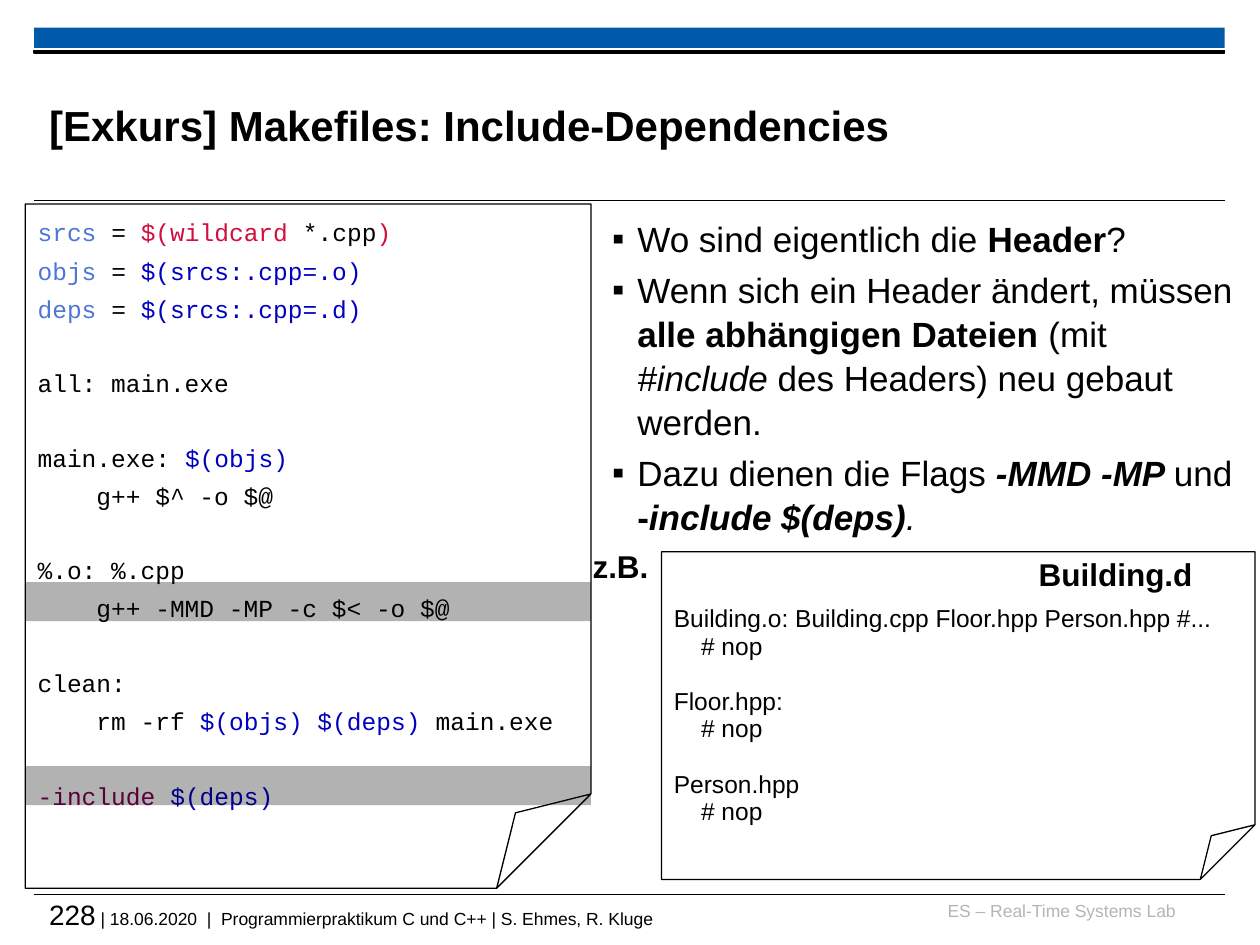
import pptx
import pptx.util
import pptx.dml.color
import pptx.enum.shapes
import pptx.enum.text
import pptx.oxml.ns
from lxml import etree

Inches, Pt = pptx.util.Inches, pptx.util.Pt
RGBColor = pptx.dml.color.RGBColor
SHAPES = pptx.enum.shapes.MSO_SHAPE
ALIGN = pptx.enum.text.PP_ALIGN
ANCHOR = pptx.enum.text.MSO_ANCHOR
qn = pptx.oxml.ns.qn

BLACK = RGBColor(0x00, 0x00, 0x00)
BAR_BLUE = RGBColor(0x00, 0x5A, 0xA9)
GRAY = RGBColor(0xB5, 0xB5, 0xB5)
NAME_BLUE = RGBColor(0x4E, 0x76, 0xD6)
CALL_RED = RGBColor(0xD0, 0x0F, 0x3F)
VARIABLE = RGBColor(0x00, 0x00, 0xC0)
KEYWORD = RGBColor(0x7F, 0x00, 0x55)

# Content: a span is (text, formatting that differs from the box default)
TITLE = "[Exkurs] Makefiles: Include-Dependencies"
LAB = "ES – Real-Time Systems Lab"
PAGE_NUMBER = "228"
FOOTER = " | 18.06.2020  |  Programmierpraktikum C und C++ | S. Ehmes, R. Kluge"

NAME, CALL, VAR = {"color": NAME_BLUE}, {"color": CALL_RED}, {"color": VARIABLE}
BOLD, ITALIC = {"bold": True}, {"italic": True}
BOTH = {**BOLD, **ITALIC}

# Makefile rules; a blank line's height separates the blocks
MAKEFILE = [
    [
        [("srcs ", NAME), ("= ", {}), ("$(wildcard", CALL), (" *.cpp", {}), (")", CALL)],
        [("objs ", NAME), ("= ", {}), ("$(srcs:.cpp=.o)", VAR)],
        [("deps ", NAME), ("= ", {}), ("$(srcs:.cpp=.d)", VAR)],
    ],
    [[("all: main.exe", {})]],
    [[("main.exe: ", {}), ("$(objs)", VAR)], [("    g++ $^ -o $@", {})]],
    [[("%.o: %.cpp", {})], [("    g++ -MMD -MP -c $< -o $@", {})]],
    [[("clean:", {})],
     [("    rm -rf ", {}), ("$(objs) $(deps)", VAR), (" main.exe", {})]],
    [[("-include ", {"color": KEYWORD}), ("$(deps)", VAR)]],
]

BULLETS = [
    [("Wo sind eigentlich die ", {}), ("Header", BOLD), ("?", {})],
    [("Wenn sich ein Header ändert, müssen ", {}), ("alle abhängigen Dateien ", BOLD),
     ("(mit ", {}), ("#include ", ITALIC), ("des Headers) neu gebaut werden.", {})],
    [("Dazu dienen die Flags ", {}), ("-MMD -MP ", BOTH), ("und ", {}), ("-", BOLD),
     ("include $(deps)", BOTH), (".", ITALIC)],
]

DEPENDENCIES = [
    "Building.o: Building.cpp Floor.hpp Person.hpp #...\v    # nop",
    "Floor.hpp:\v    # nop",
    "Person.hpp\v    # nop",
]

# Layout
RULE_LEFT, RULE_WIDTH = 0.27, 9.45
CODE_LEFT, CODE_TOP, CODE_WIDTH, CODE_HEIGHT = 0.2, 1.62, 4.49, 5.43
CODE_GAP, CODE_LINE = 3.8, 20.8
HIGHLIGHT_TOPS = (4.62, 6.08)

deck = pptx.Presentation()
deck.slide_width, deck.slide_height = Inches(10), Inches(7.5)
page = deck.slides.add_slide(deck.slide_layouts[6])


def add_panel(kind, left, top, width, height, fill=None, line=None):
    shape = page.shapes.add_shape(
        kind, Inches(left), Inches(top), Inches(width), Inches(height))
    shape.shadow.inherit = False
    if fill is None:
        shape.fill.background()
    else:
        shape.fill.solid()
        shape.fill.fore_color.rgb = fill
    if line is None:
        shape.line.fill.background()
    else:
        shape.line.color.rgb = line
        shape.line.width = Pt(0.75)
    return shape


def add_rule(top):
    rule = page.shapes.add_connector(
        pptx.enum.shapes.MSO_CONNECTOR.STRAIGHT, Inches(RULE_LEFT), Inches(top),
        Inches(RULE_LEFT + RULE_WIDTH), Inches(top))
    rule.line.color.rgb = BLACK
    rule.line.width = Pt(0.6)
    etree.SubElement(rule.element.spPr, qn("a:effectLst"))


def add_bullet(paragraph):
    properties = paragraph._p.get_or_add_pPr()
    properties.set("marL", str(Inches(0.2)))
    properties.set("indent", str(-Inches(0.2)))
    etree.SubElement(properties, qn("a:buFont"), typeface="Arial")
    etree.SubElement(properties, qn("a:buChar"), char="▪")


def add_text(at, paragraphs, size, font="Arial", align=ALIGN.LEFT, spacing=1.0,
             gaps=None, inset=True, wrap=True, bullets=False):
    """Place paragraphs of spans; gaps lists the space before each, in points."""
    box = page.shapes.add_textbox(*(Inches(length) for length in at))
    frame = box.text_frame
    frame.word_wrap = wrap
    if not inset:
        frame.margin_left = frame.margin_right = 0
        frame.margin_top = frame.margin_bottom = 0
    for index, spans in enumerate(paragraphs):
        paragraph = frame.add_paragraph() if index else frame.paragraphs[0]
        paragraph.alignment = align
        paragraph.line_spacing = spacing
        if gaps and index:
            paragraph.space_before = Pt(gaps[index])
        if bullets:
            add_bullet(paragraph)
        paragraph.font.size = Pt(size)
        for text, style in spans:
            # A vertical tab marks a line break inside the paragraph
            for number, part in enumerate(text.split("\v")):
                if number:
                    paragraph.add_line_break()
                span = paragraph.add_run()
                span.text = part
                span.font.name = font
                span.font.size = Pt(style.get("size", size))
                span.font.bold = style.get("bold", False)
                span.font.italic = style.get("italic", False)
                span.font.color.rgb = style.get("color", BLACK)
    return frame


# Page frame and footer
add_rule(7.1)
add_panel(SHAPES.RECTANGLE, RULE_LEFT, 0.22, RULE_WIDTH, 0.16, fill=BAR_BLUE)
add_rule(1.59)
add_panel(SHAPES.RECTANGLE, RULE_LEFT, 0.4, RULE_WIDTH, 0.02, fill=BLACK, line=BLACK)
add_text((7.36, 7.14, 1.97, 0.25), [[(LAB, {"color": GRAY})]], 10,
         align=ALIGN.RIGHT, inset=False)
add_text((0.39, 7.12, 6.5, 0.33), [[(PAGE_NUMBER, {"size": 16}), (FOOTER, {})]], 10,
         inset=False)

# Title
title = add_text((0.39, 0.53, 7.52, 0.92), [[(TITLE, BOLD)]], 24, inset=False)
title.vertical_anchor = ANCHOR.MIDDLE

# Makefile sheet
add_panel(SHAPES.FOLDED_CORNER, CODE_LEFT, CODE_TOP, CODE_WIDTH, CODE_HEIGHT, line=BLACK)
code_lines = [line for block in MAKEFILE for line in block]
code_gaps = [CODE_GAP if index else CODE_GAP + CODE_LINE
             for block in MAKEFILE for index in range(len(block))]
code = add_text((CODE_LEFT, CODE_TOP, CODE_WIDTH, CODE_HEIGHT), code_lines, 14,
                font="Courier New", spacing=1.07, gaps=code_gaps)
code.margin_top = Inches(0.09)

# Explanation
add_text((4.76, 1.66, 5.2, 2.6), BULLETS, 20, spacing=1.05,
         gaps=[3.9] * len(BULLETS), bullets=True)

# Example dependency file
add_panel(SHAPES.FOLDED_CORNER, 5.25, 4.38, 4.71, 2.6, line=BLACK)
for label, at in (("Building.d", (8.07, 4.38, 1.57, 0.39)),
                  ("z.B.", (4.59, 4.32, 0.67, 0.39))):
    add_text(at, [[(label, BOLD)]], 18, align=ALIGN.CENTER, spacing=0.93, wrap=False)
add_text((5.25, 4.76, 4.64, 1.85), [[(entry, {})] for entry in DEPENDENCIES], 14,
         spacing=0.93, gaps=[16] * len(DEPENDENCIES))

# Translucent highlights over the two relevant code lines
for top in HIGHLIGHT_TOPS:
    highlight = add_panel(SHAPES.RECTANGLE, CODE_LEFT, top, CODE_WIDTH, 0.31, fill=BLACK)
    color = highlight.element.spPr.find(qn("a:solidFill"))[0]
    etree.SubElement(color, qn("a:alpha"), val="30000")

deck.save("out.pptx")
